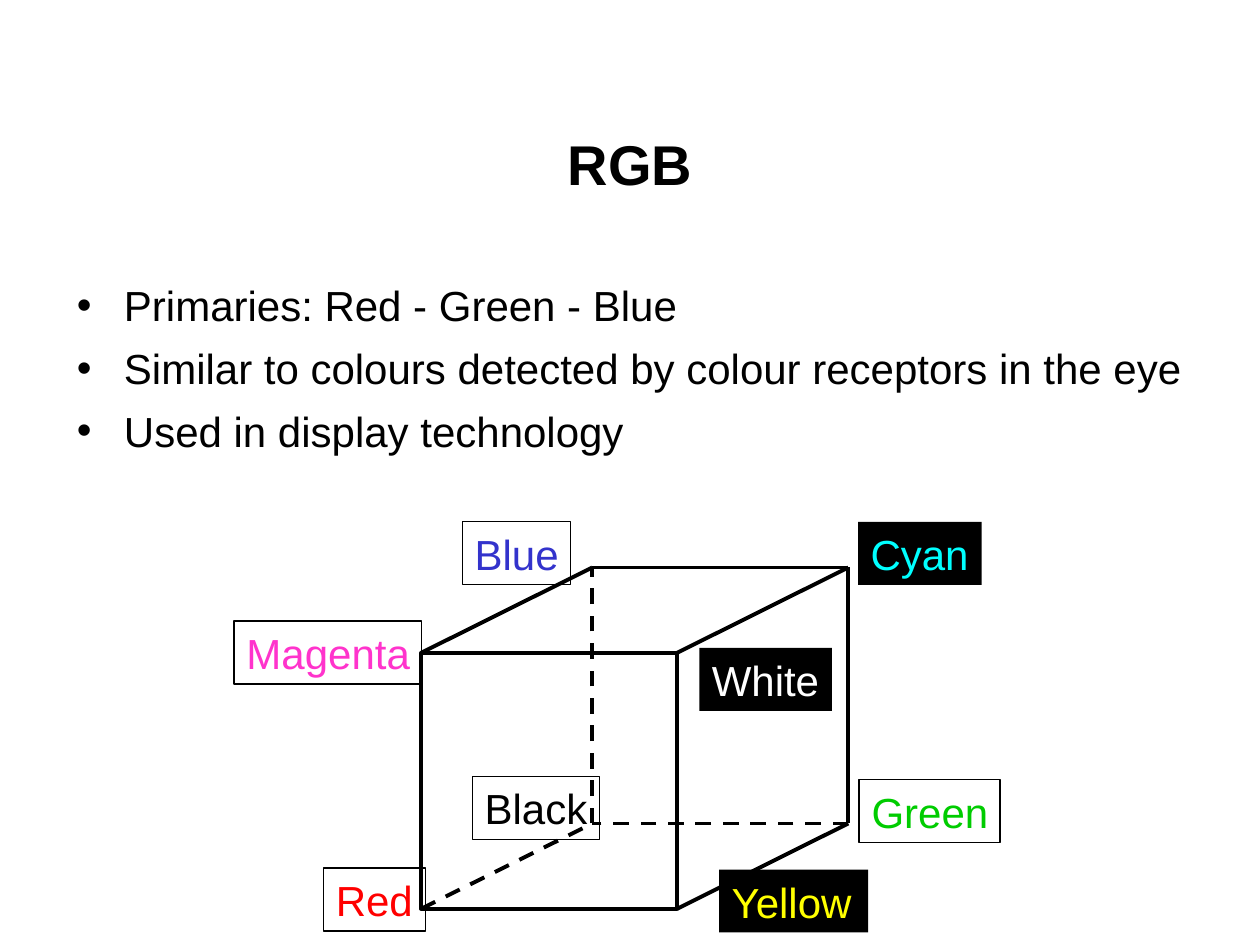
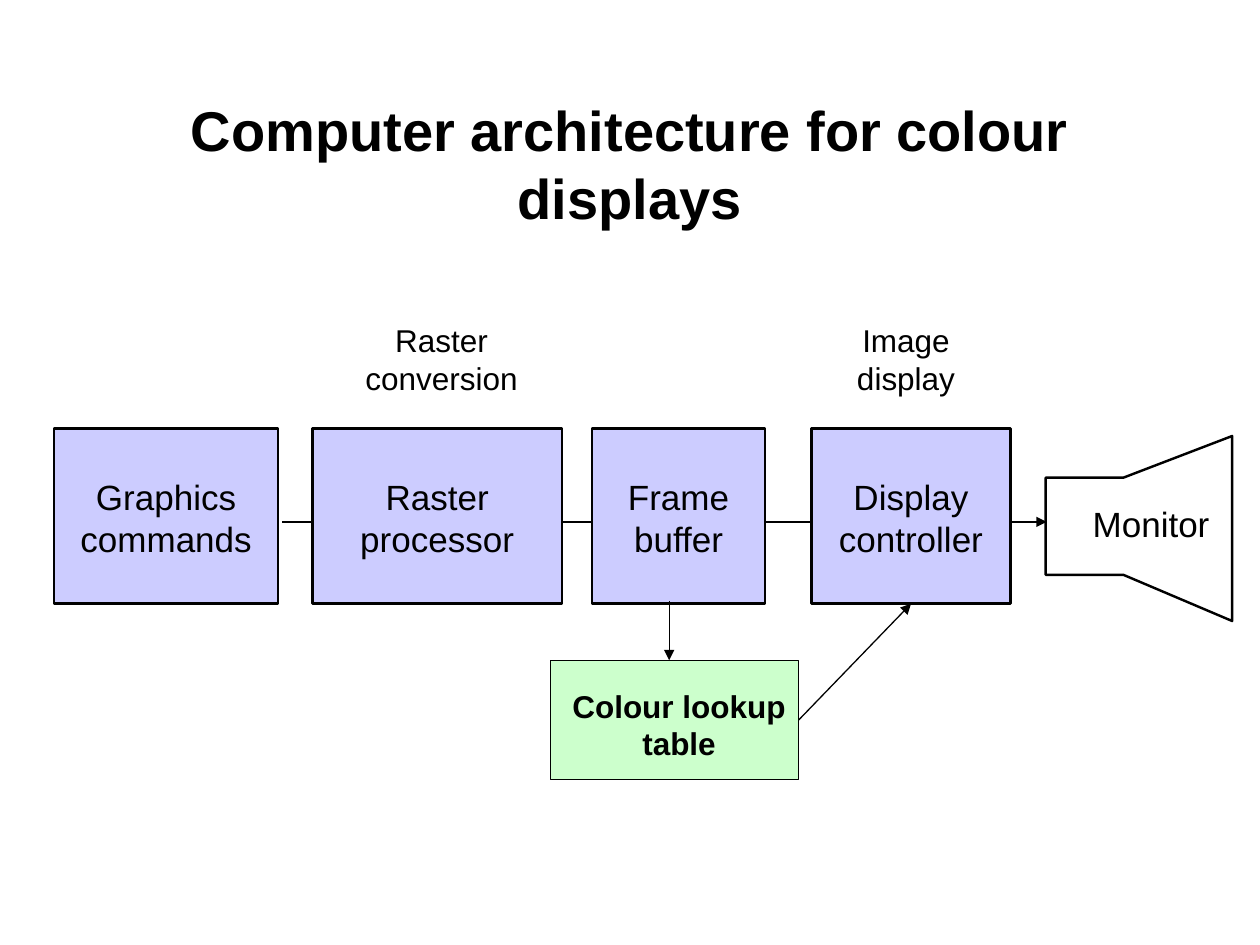
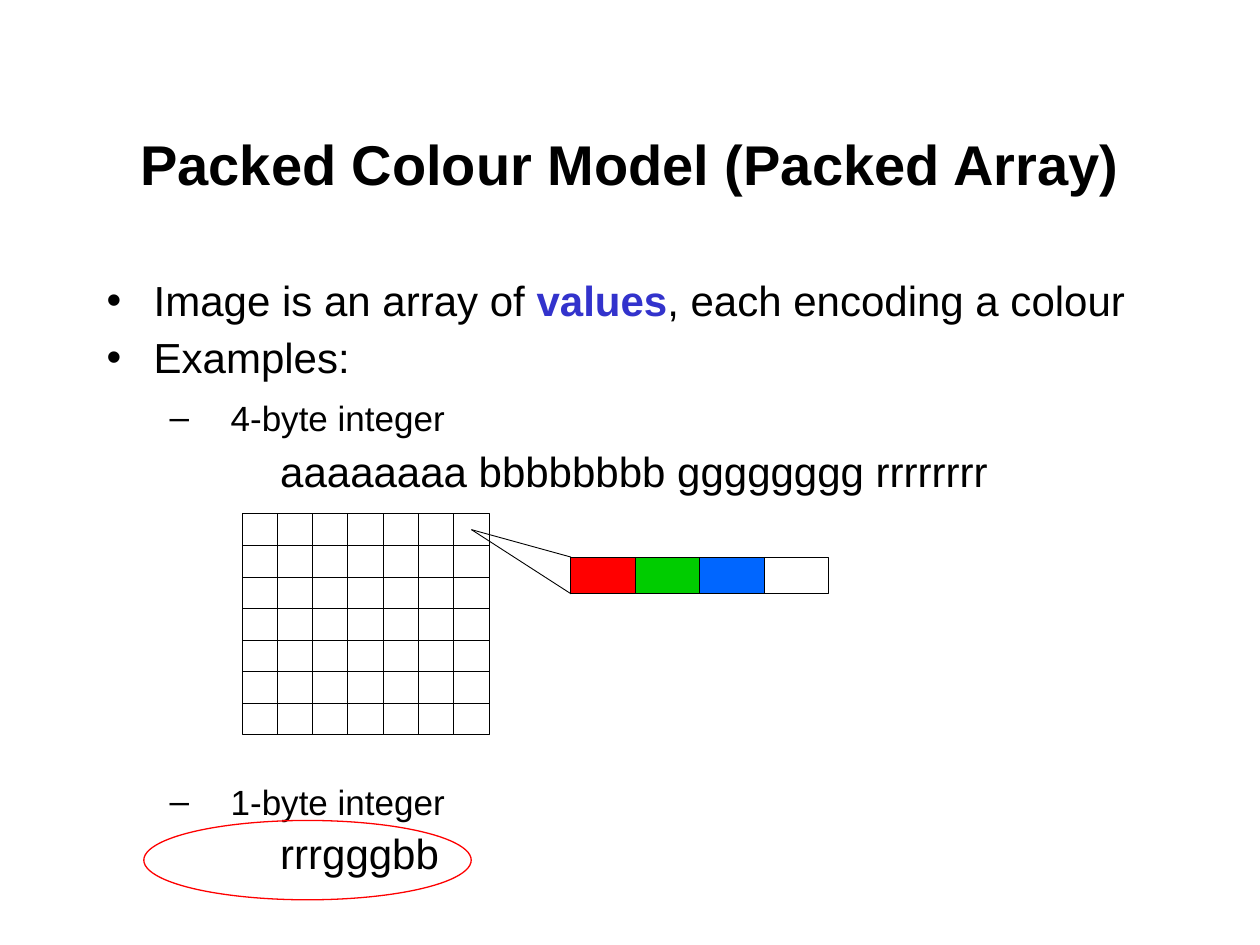
from lxml.etree import SubElement
from pptx import Presentation
from pptx.dml.color import RGBColor
from pptx.enum.dml import MSO_LINE
from pptx.enum.shapes import MSO_CONNECTOR, MSO_SHAPE
from pptx.enum.text import MSO_ANCHOR, MSO_AUTO_SIZE, PP_ALIGN
from pptx.oxml.ns import qn
from pptx.util import Cm, Pt

FONT = "Arial"
BLACK, WHITE = "000000", "FFFFFF"
RED, GREEN, BLUE = "FF0000", "00CC00", "3333CC"
LILAC, MINT = "CCCCFF", "CCFFCC"
TITLE_BOX = (1.9, 1.7, 21.6, 3.18)
HAIRLINE, THIN, OUTLINE, THICK = 0.5, 0.75, 1.4, 2.25


def colour(value):
    """Turn a hex string into a colour."""
    return RGBColor.from_string(value)


def lengths(*values):
    """Turn numbers in centimetres into lengths."""
    return [Cm(value) for value in values]


def set_font(font, size, ink=BLACK, bold=False):
    """Apply the deck's typeface to a font."""
    font.name, font.size, font.bold = FONT, Pt(size), bold
    font.color.rgb = colour(ink)


def write(frame, lines, size, ink=BLACK, bold=False, align=PP_ALIGN.CENTER,
          anchor=MSO_ANCHOR.TOP, wrap=True, top=0.13, left=0.25):
    """Fill a text frame with equally formatted paragraphs."""
    frame.word_wrap, frame.vertical_anchor = wrap, anchor
    frame.auto_size = MSO_AUTO_SIZE.NONE
    frame.margin_left, frame.margin_top = lengths(left, top)
    frame.margin_right, frame.margin_bottom = lengths(0.25, 0.13)
    for index, line in enumerate(lines):
        para = frame.paragraphs[0] if index == 0 else frame.add_paragraph()
        para.text, para.alignment = line, align
        set_font(para.font, size, ink, bold)


def style_shape(shape, fill, ink, weight):
    """Set fill and outline of a shape and drop its shadow."""
    shape.shadow.inherit = False
    if fill:
        shape.fill.solid()
        shape.fill.fore_color.rgb = colour(fill)
    else:
        shape.fill.background()
    if weight:
        shape.line.color.rgb = colour(ink)
        shape.line.width = Pt(weight)
    else:
        shape.line.fill.background()
    return shape


def add_box(page, box, fill=None, weight=THIN, ink=BLACK, kind=MSO_SHAPE.RECTANGLE):
    """Add a preset shape."""
    return style_shape(page.shapes.add_shape(kind, *lengths(*box)), fill, ink, weight)


def add_line(page, start, end, weight, dashed=False, arrow=False):
    """Add a straight black connector."""
    line = page.shapes.add_connector(MSO_CONNECTOR.STRAIGHT, *lengths(*start, *end))
    line.line.color.rgb = colour(BLACK)
    line.line.width = Pt(weight)
    if dashed:
        line.line.dash_style = MSO_LINE.DASH
    if arrow:
        SubElement(line.line._get_or_add_ln(), qn("a:tailEnd"), type="triangle")
    SubElement(line._element.spPr, qn("a:effectLst"))
    return line


def add_caption(page, box, lines, size):
    """Add a centred text box that does not wrap."""
    write(page.shapes.add_textbox(*lengths(*box)).text_frame, lines, size, wrap=False)


def add_page(deck, heading):
    """Add a title-only slide and format its title."""
    page = deck.slides.add_slide(deck.slide_layouts[5])
    title = page.shapes.title
    title.left, title.top, title.width, title.height = lengths(*TITLE_BOX)
    write(title.text_frame, [heading], 32, bold=True, anchor=MSO_ANCHOR.MIDDLE)
    return page


def add_outline(page, box, items, spacing=1.0):
    """Add paragraphs given as (spans, size, bullet, margin, hanging, space before)."""
    frame = page.shapes.add_textbox(*lengths(*box)).text_frame
    write(frame, [""] * len(items), 24, align=PP_ALIGN.LEFT)
    for para, (spans, size, bullet, margin, hanging, before) in zip(frame.paragraphs, items):
        properties = para._p.get_or_add_pPr()
        properties.set("marL", str(Cm(margin)))
        properties.set("indent", str(Cm(-hanging)))
        if bullet:
            properties.remove(properties.find(qn("a:defRPr")))
            SubElement(properties, qn("a:buFont"), typeface=FONT)
            SubElement(properties, qn("a:buChar"), char=bullet)
        set_font(para.font, size)
        para.line_spacing, para.space_before = spacing, Pt(before)
        for text, ink in spans:
            span = para.add_run()
            span.text = text
            if ink != BLACK:
                set_font(span.font, size, ink, True)


def plain(text):
    """Give one black span."""
    return [(text, BLACK)]


def draw_cube(page, left, top, side, shift, rise):
    """Draw a cube whose front square starts at left, top."""
    add_box(page, (left, top, side, side), weight=THICK)
    units = [(0, 0), (1, 0), (1, 1), (0, 1)]
    front = [(left + x * side, top + y * side) for x, y in units]
    back = [(x + shift, y - rise) for x, y in front]
    hidden = back[3]
    edges = list(zip(front, back)) + list(zip(back, back[1:] + back[:1]))
    for start, end in edges:
        add_line(page, start, end, THICK, dashed=hidden in (start, end))


def rgb_page(deck):
    """Build the slide on the RGB cube."""
    page = add_page(deck, "RGB")
    points = ["Primaries: Red - Green - Blue",
              "Similar to colours detected by colour receptors in the eye",
              "Used in display technology"]
    add_outline(page, (1.3, 5.51, 22.9, 4.83),
                [(plain(point), 24, "•", 0.95, 0.95, 7 if index else 0)
                 for index, point in enumerate(points)])
    labels = [("Red", RED, None, 6.52, 17.5, 2.06),
              ("Green", GREEN, None, 17.32, 15.72, 2.84),
              ("Blue", BLUE, None, 9.32, 10.52, 2.18),
              ("Cyan", "00FFFF", BLACK, 17.3, 10.52, 2.49),
              ("Magenta", "FF33CC", None, 4.72, 12.52, 3.78),
              ("Yellow", "FFFF00", BLACK, 14.5, 17.53, 3),
              ("Black", BLACK, None, 9.52, 15.65, 2.57),
              ("White", WHITE, BLACK, 14.1, 13.06, 2.67)]
    for name, ink, fill, left, top, width in labels:
        label = add_box(page, (left, top, width, 1.27), fill, 0 if fill else THIN)
        write(label.text_frame, [name], 24, ink, align=PP_ALIGN.LEFT, wrap=False)
    draw_cube(page, 8.49, 13.16, 5.16, 3.45, 1.72)


def draw_monitor(page, left, top, width, height):
    """Draw the monitor outline and its name."""
    neck, upper, lower = left + 1.57, top + 0.84, top + 2.8
    right, bottom = left + width, top + height
    points = [(left, upper), (left, lower), (neck, lower),
              (right, bottom), (right, top), (neck, upper)]
    builder = page.shapes.build_freeform(*lengths(*points[0]), scale=1.0)
    builder.add_line_segments([lengths(*point) for point in points[1:]], close=True)
    style_shape(builder.convert_to_shape(), None, BLACK, OUTLINE)
    add_caption(page, (left + 0.69, top + 1.22, 2.87, 1.12), ["Monitor"], 20)


def architecture_page(deck):
    """Build the slide on display architecture."""
    page = add_page(deck, "Computer architecture for colour displays")
    add_line(page, (5.69, 10.52), (21.1, 10.52), THIN, arrow=True)
    stages = {}
    for name, left, width in [("Graphics commands", 1.09, 4.52),
                              ("Raster processor", 6.3, 5.03),
                              ("Frame buffer", 11.94, 3.48),
                              ("Display controller", 16.36, 4.01)]:
        stages[name] = add_box(page, (left, 8.64, width, 3.53), LILAC, OUTLINE)
        write(stages[name].text_frame, [name], 20, top=0.95)
    draw_monitor(page, 21.08, 8.79, 3.76, 3.73)
    add_caption(page, (7.11, 6.35, 3.58, 1.78), ["Raster", "conversion"], 18)
    add_caption(page, (17.02, 6.35, 2.49, 1.78), ["Image", "display"], 18)
    lookup = add_box(page, (11.1, 13.31, 5, 2.41), MINT)
    write(lookup.text_frame, ["Colour lookup", "table"], 18, bold=True,
          wrap=False, top=0.53, left=0.43)
    link = add_line(page, (16.1, 14.52), (18.37, 12.17), THIN, arrow=True)
    link.begin_connect(lookup, 3)
    link.end_connect(stages["Display controller"], 2)
    add_line(page, (13.49, 12.12), (13.49, 13.31), THIN, arrow=True)


def draw_pixel_grid(page, left, top, width, height, count):
    """Draw a square array of pixels and return the centre of its top right cell."""
    add_box(page, (left, top, width, height), weight=HAIRLINE)
    column, row = width / count, height / count
    for step in range(1, count):
        x, y = left + step * column, top + step * row
        add_line(page, (x, top), (x, top + height), HAIRLINE)
        add_line(page, (left, y), (left + width, y), HAIRLINE)
    return left + width - column / 2, top + row / 2


def draw_channels(page, left, top, width, height, pixel):
    """Draw the bytes of one pixel and the lines that lead to it."""
    for index, fill in enumerate([RED, GREEN, "0066FF", None]):
        add_box(page, (left + index * width, top, width, height), fill, HAIRLINE)
    for y in (top, top + height):
        add_line(page, pixel, (left, y), HAIRLINE)


def packed_page(deck):
    """Build the slide on the packed colour model."""
    page = add_page(deck, "Packed Colour Model (Packed Array)")
    opening = [("Image is an array of ", BLACK), ("values", BLUE),
               (", each encoding a colour", BLACK)]
    add_outline(page, (1.9, 5.51, 21.6, 12.9), [
        (opening, 24, "•", 0.95, 0.95, 0),
        (plain("Examples:"), 24, "•", 0.95, 0.95, 7),
        (plain("4-byte integer"), 20, "–", 2.5, 1.23, 10.5),
        (plain("aaaaaaaa bbbbbbbb gggggggg rrrrrrrr"), 24, None, 3.5, 0, 7),
        (plain("1-byte integer"), 20, "–", 2.5, 1.23, 165),
        (plain("rrrgggbb"), 24, None, 3.5, 0, 6),
    ], spacing=0.9)
    pixel = draw_pixel_grid(page, 4.88, 10.36, 4.98, 4.45, 7)
    draw_channels(page, 11.51, 11.23, 1.3, 0.74, pixel)
    add_box(page, (2.9, 16.54, 6.6, 1.6), ink="FE0000", kind=MSO_SHAPE.OVAL)


def main():
    """Build and save the deck."""
    deck = Presentation()
    deck.slide_width, deck.slide_height = lengths(25.4, 19.05)
    rgb_page(deck)
    architecture_page(deck)
    packed_page(deck)
    deck.save("out.pptx")


if __name__ == "__main__":
    main()
